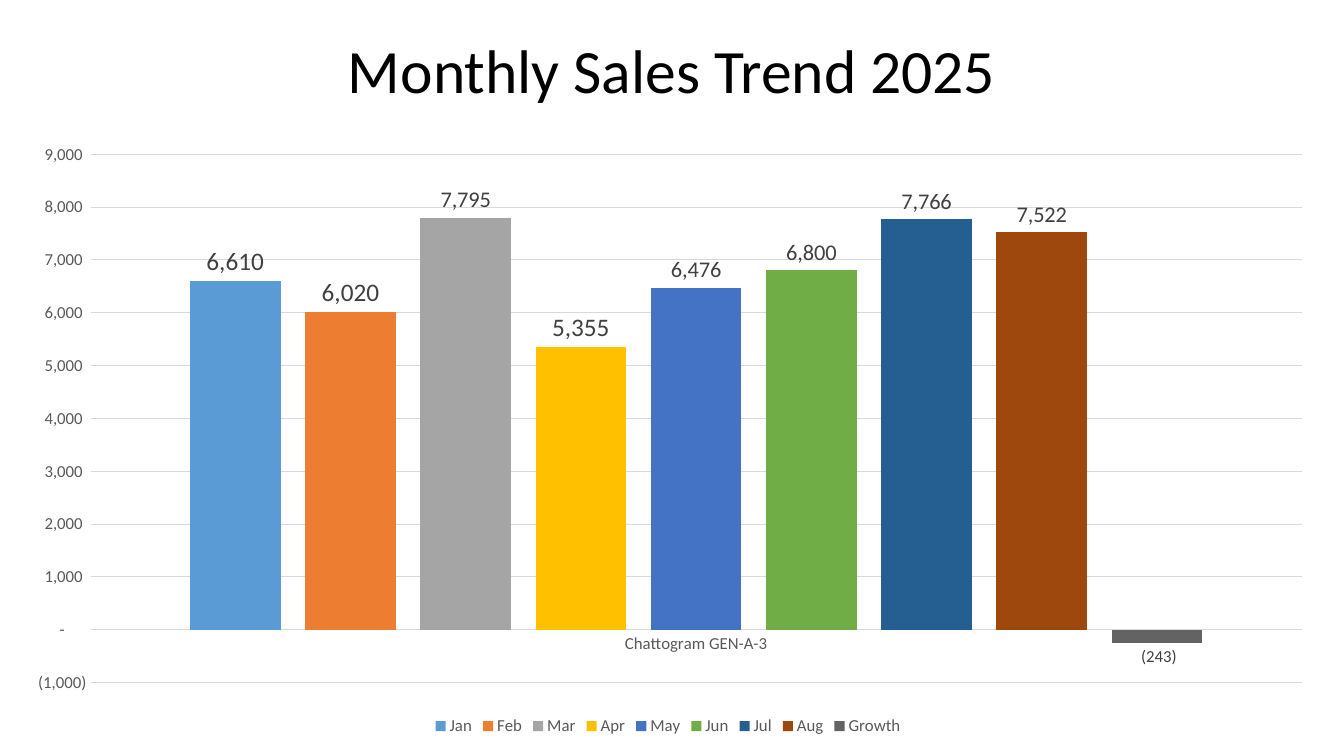
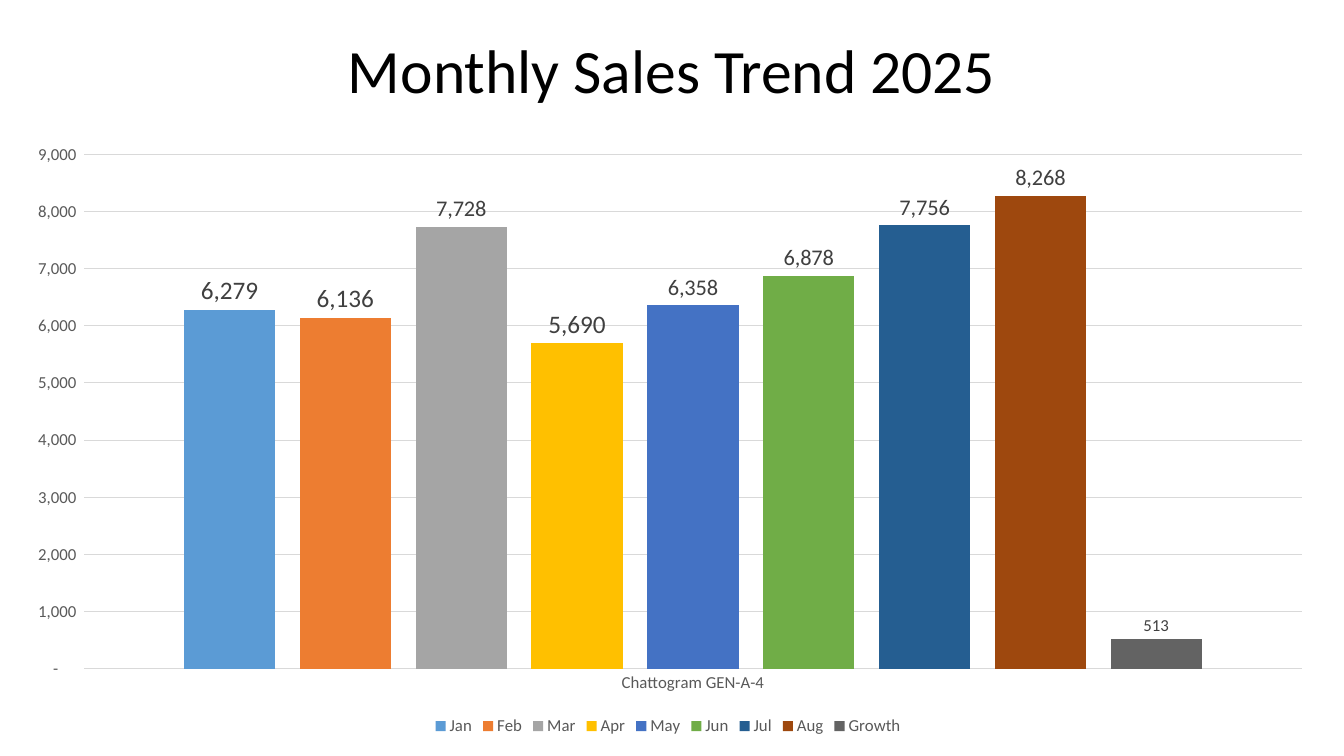
"""Build two slides that chart the monthly sales trend of 2025."""
import pptx
import pptx.chart.data
import pptx.dml.color
import pptx.enum.chart
import pptx.enum.text
import pptx.util
from pptx.util import Cm

BLACK = pptx.dml.color.RGBColor(0x00, 0x00, 0x00)
LABEL_GRAY = pptx.dml.color.RGBColor(0x40, 0x40, 0x40)
TEXT_GRAY = pptx.dml.color.RGBColor(0x59, 0x59, 0x59)
LINE_GRAY = pptx.dml.color.RGBColor(0xD9, 0xD9, 0xD9)
BLUE = pptx.dml.color.RGBColor(0x5B, 0x9B, 0xD5)
ORANGE = pptx.dml.color.RGBColor(0xED, 0x7D, 0x31)
SILVER = pptx.dml.color.RGBColor(0xA5, 0xA5, 0xA5)
GOLD = pptx.dml.color.RGBColor(0xFF, 0xC0, 0x00)
ROYAL = pptx.dml.color.RGBColor(0x44, 0x72, 0xC4)
GREEN = pptx.dml.color.RGBColor(0x70, 0xAD, 0x47)
NAVY = pptx.dml.color.RGBColor(0x25, 0x5E, 0x91)
BROWN = pptx.dml.color.RGBColor(0x9E, 0x48, 0x0E)
SLATE = pptx.dml.color.RGBColor(0x63, 0x63, 0x63)

FONT = "Calibri"
NUMBER_FORMAT = '_(* #,##0_);_(* \\(#,##0\\);_(* "-"??_);_(@_)'
TITLE = "Monthly Sales Trend 2025"
TITLE_PLACE = {"left": Cm(2.33), "top": Cm(0.38), "width": Cm(29.21), "height": Cm(2.95)}
CHART_PLACE = (Cm(0.2), Cm(3.33), Cm(33.27), Cm(15.32))

SERIES_STYLES = [
    ("Jan", BLUE, 18),
    ("Feb", ORANGE, 18),
    ("Mar", SILVER, 16),
    ("Apr", GOLD, 18),
    ("May", ROYAL, 16),
    ("Jun", GREEN, 16),
    ("Jul", NAVY, 16),
    ("Aug", BROWN, 16),
    ("Growth", SLATE, 12),
]
REGIONS = [
    ("Chattogram GEN-A-3", -1000, [6610, 6020, 7795, 5355, 6476, 6800, 7766, 7522, -243]),
    ("Chattogram GEN-A-4", 0, [6279, 6136, 7728, 5690, 6358, 6878, 7756, 8268, 513]),
]


def set_values(target, values):
    for name, value in values.items():
        setattr(target, name, value)


def set_font(font, size, color):
    set_values(font, {"name": FONT, "size": pptx.util.Pt(size), "bold": False})
    font.color.rgb = color


presentation = pptx.Presentation()
set_values(presentation, {"slide_width": Cm(33.87), "slide_height": Cm(19.05)})
title_only = presentation.slide_layouts.get_by_name("Title Only")

for region, minimum, values in REGIONS:
    slide = presentation.slides.add_slide(title_only)
    title = slide.shapes.title
    set_values(title, TITLE_PLACE)
    title.text_frame.text = TITLE
    title.text_frame.vertical_anchor = pptx.enum.text.MSO_ANCHOR.MIDDLE
    paragraph = title.text_frame.paragraphs[0]
    set_values(paragraph, {"alignment": pptx.enum.text.PP_ALIGN.CENTER, "line_spacing": 0.9})
    set_font(paragraph.font, 44, BLACK)

    chart_data = pptx.chart.data.CategoryChartData(number_format=NUMBER_FORMAT)
    chart_data.categories = [region]
    for (name, color, label_size), value in zip(SERIES_STYLES, values):
        chart_data.add_series(name, [value])
    chart = slide.shapes.add_chart(
        pptx.enum.chart.XL_CHART_TYPE.COLUMN_CLUSTERED, *CHART_PLACE, chart_data
    ).chart
    set_values(chart, {"has_title": False, "has_legend": True})
    set_font(chart.font, 10, BLACK)
    set_values(chart.legend, {
        "position": pptx.enum.chart.XL_LEGEND_POSITION.BOTTOM,
        "include_in_layout": False,
    })
    set_font(chart.legend.font, 12, TEXT_GRAY)

    for axis in (chart.category_axis, chart.value_axis):
        set_values(axis, {
            "major_tick_mark": pptx.enum.chart.XL_TICK_MARK.NONE,
            "minor_tick_mark": pptx.enum.chart.XL_TICK_MARK.NONE,
        })
        set_font(axis.tick_labels.font, 12, TEXT_GRAY)
    set_values(chart.value_axis, {
        "minimum_scale": minimum,
        "maximum_scale": 9000,
        "major_unit": 1000,
        "has_major_gridlines": True,
    })
    set_values(chart.value_axis.tick_labels, {
        "number_format": NUMBER_FORMAT,
        "number_format_is_linked": False,
    })
    chart.value_axis.format.line.fill.background()
    for line in (chart.category_axis.format.line, chart.value_axis.major_gridlines.format.line):
        line.width = pptx.util.Pt(0.75)
        line.color.rgb = LINE_GRAY

    plot = chart.plots[0]
    set_values(plot, {"gap_width": 219, "overlap": -27, "vary_by_categories": False})
    for series, (name, color, label_size) in zip(plot.series, SERIES_STYLES):
        series.invert_if_negative = False
        series.format.fill.solid()
        series.format.fill.fore_color.rgb = color
        set_values(series.data_labels, {
            "show_value": True,
            "position": pptx.enum.chart.XL_LABEL_POSITION.OUTSIDE_END,
            "number_format": NUMBER_FORMAT,
            "number_format_is_linked": False,
        })
        set_font(series.data_labels.font, label_size, LABEL_GRAY)

presentation.save("out.pptx")
